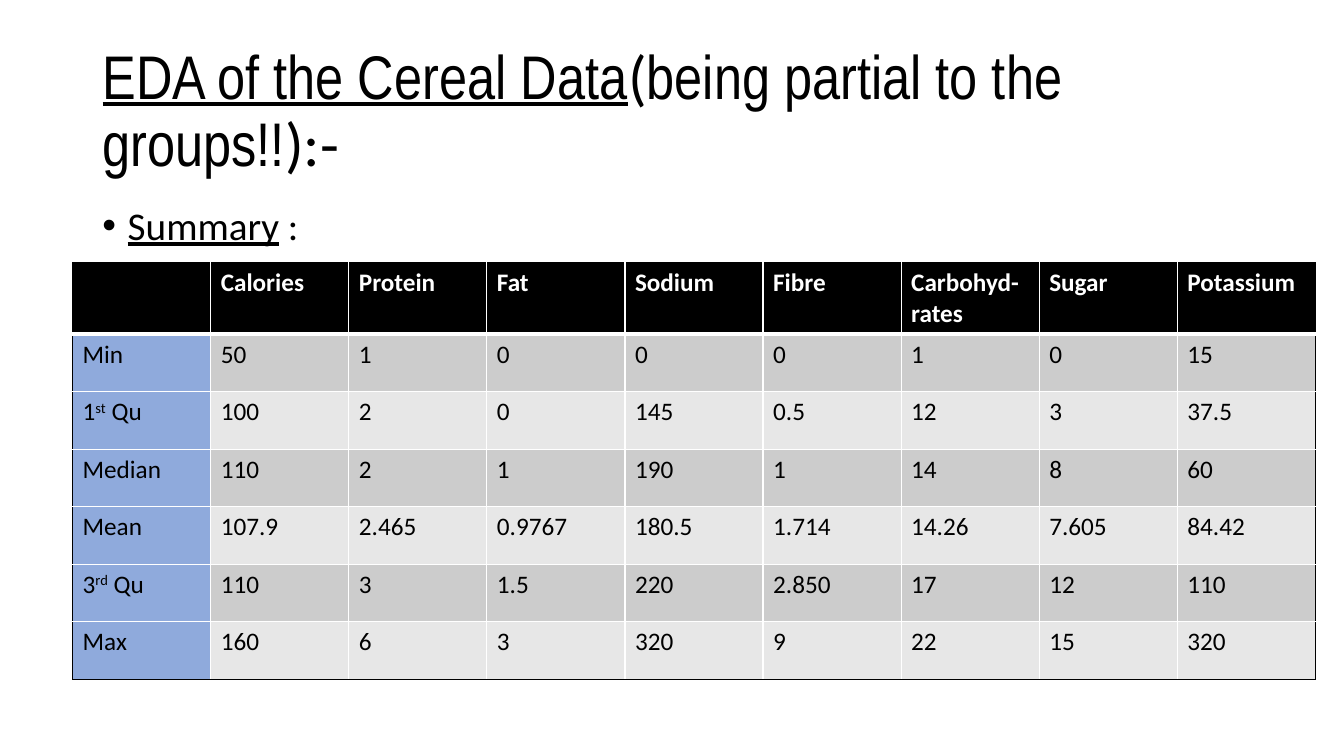
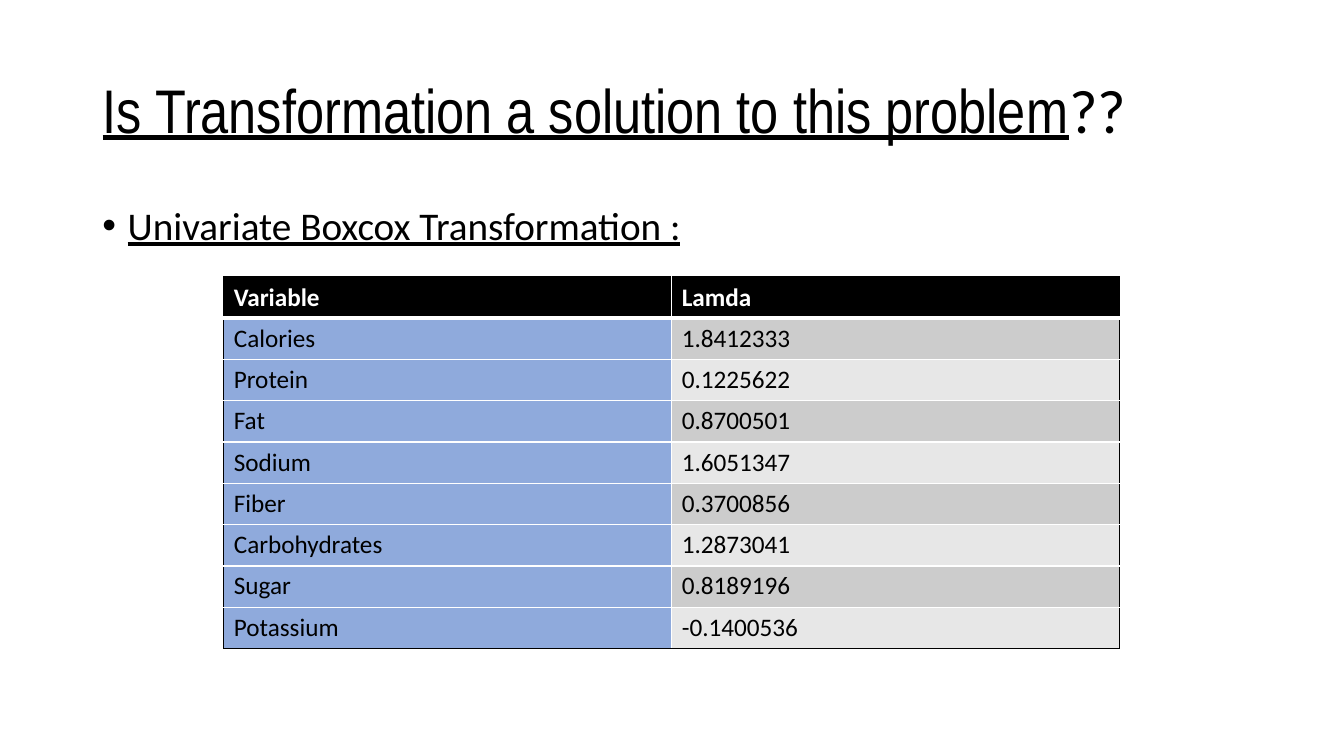
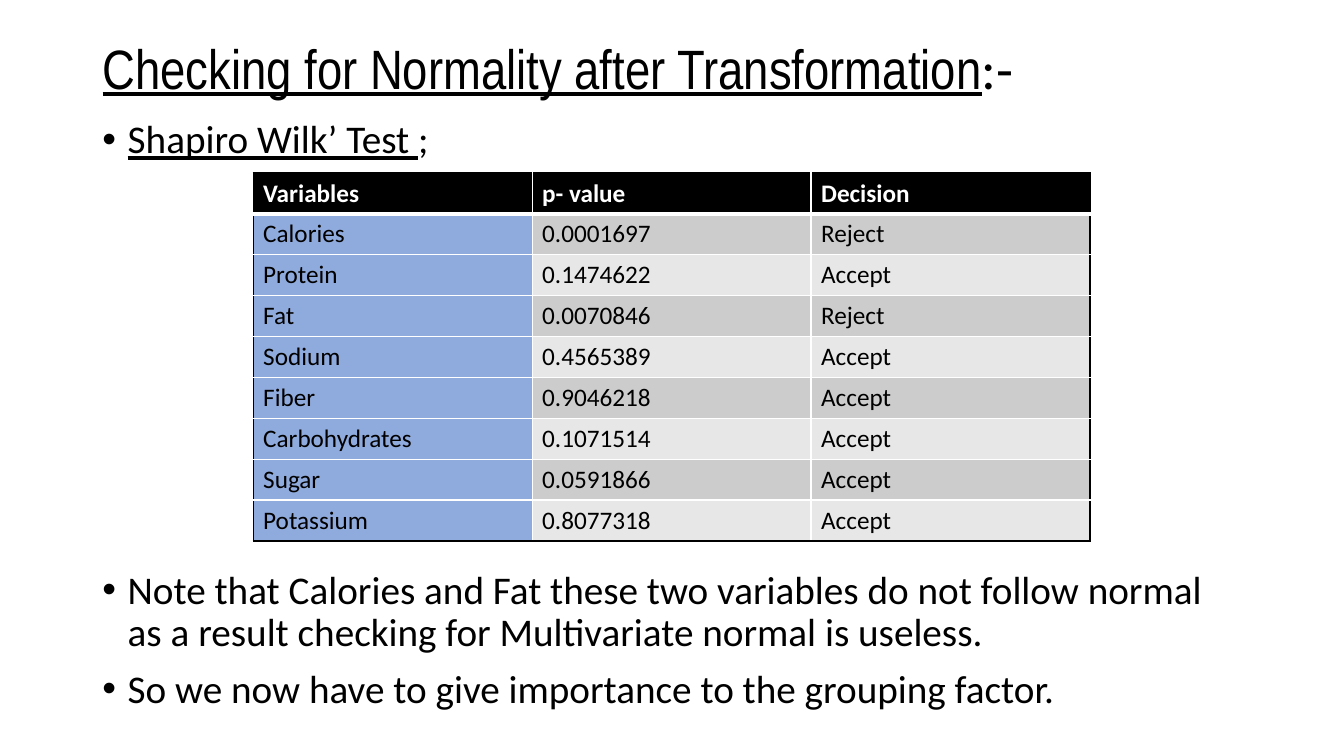
from dataclasses import dataclass
from typing import NamedTuple, Sequence

from lxml import etree
from pptx import Presentation
from pptx import util as u
from pptx.dml.color import RGBColor
from pptx.enum import text
from pptx.oxml import ns

COLOURS = {
    "ink": "000000",
    "paper": "FFFFFF",
    "label": "8FAADC",
    "band_dark": "CCCCCC",
    "band_light": "E7E7E7",
}
TITLE_FONT, BODY_FONT = "Arial Narrow", "Calibri"
BODY_SIZE, CELL_SIZE = 28, 18
LEFT, CONTENT_WIDTH = u.Cm(2.33), u.Cm(29.21)
TITLE_TOP = u.Cm(1.01)
BULLET_INDENT = u.Cm(0.64)
THIN, THICK = 1, 3


class Span(NamedTuple):
    words: str
    underline: bool = False
    font: str = BODY_FONT
    raised: bool = False


@dataclass
class Grid:
    left: float
    top: float
    column_width: float
    header_height: float
    row_height: float
    rows: Sequence[Sequence]


@dataclass
class Bullets:
    top: float
    height: float
    items: Sequence[Sequence[Span]]


@dataclass
class Page:
    title: Sequence[Span]
    bullets: Sequence[Bullets]
    grid: Grid
    title_size: float = 44
    title_height: float = 3.68


def heading(words: str) -> Span:
    return Span(words, underline=True, font=TITLE_FONT)


def ordinal(number: str, suffix: str) -> list[Span]:
    return [Span(number), Span(suffix, raised=True), Span(" Qu")]


def rgb(colour: str) -> RGBColor:
    return RGBColor.from_string(COLOURS[colour])


def write_spans(paragraph, spans: Sequence[Span], size: float,
                colour: str = "ink", bold: bool = False) -> None:
    for span in spans:
        run = paragraph.add_run()
        run.text = span.words
        font = run.font
        font.name, font.size, font.bold = span.font, u.Pt(size), bold
        font.underline = span.underline
        font.color.rgb = rgb(colour)
        if span.raised:
            run._r.get_or_add_rPr().set("baseline", "30000")


def add_title(slide, page: Page) -> None:
    title = slide.shapes.title
    title.left, title.top = LEFT, TITLE_TOP
    title.width, title.height = CONTENT_WIDTH, u.Cm(page.title_height)
    frame = title.text_frame
    frame.word_wrap = True
    frame.auto_size = text.MSO_AUTO_SIZE.NONE
    frame.vertical_anchor = text.MSO_ANCHOR.MIDDLE
    paragraph = frame.paragraphs[0]
    paragraph.alignment = text.PP_ALIGN.LEFT
    paragraph.line_spacing = 0.9
    write_spans(paragraph, page.title, page.title_size)


def set_bullet(paragraph) -> None:
    properties = paragraph._p.get_or_add_pPr()
    properties.set("marL", str(BULLET_INDENT))
    properties.set("indent", str(-BULLET_INDENT))
    etree.SubElement(properties, ns.qn("a:buFont"), typeface="Arial")
    etree.SubElement(properties, ns.qn("a:buChar"), char="•")


def add_bullets(slide, bullets: Bullets) -> None:
    box = slide.shapes.add_textbox(LEFT, u.Cm(bullets.top), CONTENT_WIDTH, u.Cm(bullets.height))
    frame = box.text_frame
    frame.word_wrap = True
    for index, spans in enumerate(bullets.items):
        paragraph = frame.add_paragraph() if index else frame.paragraphs[0]
        set_bullet(paragraph)
        paragraph.line_spacing = 0.9
        if index:
            paragraph.space_before = u.Pt(10)
        write_spans(paragraph, spans, BODY_SIZE)


def set_border(cell, side: str, colour: str, width: float) -> None:
    line = etree.SubElement(cell._tc.get_or_add_tcPr(), ns.qn(f"a:ln{side}"), w=str(u.Pt(width)))
    fill = etree.SubElement(line, ns.qn("a:solidFill"))
    etree.SubElement(fill, ns.qn("a:srgbClr"), val=COLOURS[colour])


def set_borders(cell, row: int, column: int, last_row: int, last_column: int) -> None:
    """Black around the table, white inside it, thicker under the header."""
    outer = {"L": column == 0, "R": column == last_column, "T": row == 0, "B": row == last_row}
    under_header = {(0, "B"), (1, "T")}
    for side, is_outer in outer.items():
        set_border(cell, side, "ink" if is_outer else "paper",
                   THICK if (row, side) in under_header else THIN)


def cell_fill(row: int, column: int) -> str:
    if row == 0:
        return "ink"
    if column == 0:
        return "label"
    return "band_dark" if row % 2 else "band_light"


def add_grid(slide, grid: Grid) -> None:
    row_count, column_count = len(grid.rows), len(grid.rows[0])
    height = grid.header_height + grid.row_height * (row_count - 1)
    table = slide.shapes.add_table(
        row_count, column_count, u.Cm(grid.left), u.Cm(grid.top),
        u.Cm(grid.column_width * column_count), u.Cm(height)).table
    table.horz_banding = False
    for column in table.columns:
        column.width = u.Cm(grid.column_width)
    for r, values in enumerate(grid.rows):
        table.rows[r].height = u.Cm(grid.row_height if r else grid.header_height)
        for c, value in enumerate(values):
            cell = table.cell(r, c)
            set_borders(cell, r, c, row_count - 1, column_count - 1)
            cell.fill.solid()
            cell.fill.fore_color.rgb = rgb(cell_fill(r, c))
            spans = [Span(value)] if isinstance(value, str) else value
            if value:
                write_spans(cell.text_frame.paragraphs[0], spans, CELL_SIZE,
                            colour="ink" if r else "paper", bold=r == 0)


NUTRIENTS = ["Calories", "Protein", "Fat", "Sodium", "Fiber", "Carbohydrates", "Sugar", "Potassium"]
LAMBDAS = ["1.8412333", "0.1225622", "0.8700501", "1.6051347",
           "0.3700856", "1.2873041", "0.8189196", "-0.1400536"]
P_VALUES = ["0.0001697", "0.1474622", "0.0070846", "0.4565389",
            "0.9046218", "0.1071514", "0.0591866", "0.8077318"]
DECISIONS = ["Reject", "Accept", "Reject"] + ["Accept"] * 5
SUMMARY = [
    ["", "Calories", "Protein", "Fat", "Sodium", "Fibre", "Carbohyd-rates", "Sugar", "Potassium"],
    ["Min", "50", "1", "0", "0", "0", "1", "0", "15"],
    [ordinal("1", "st"), "100", "2", "0", "145", "0.5", "12", "3", "37.5"],
    ["Median", "110", "2", "1", "190", "1", "14", "8", "60"],
    ["Mean", "107.9", "2.465", "0.9767", "180.5", "1.714", "14.26", "7.605", "84.42"],
    [ordinal("3", "rd"), "110", "3", "1.5", "220", "2.850", "17", "12", "110"],
    ["Max", "160", "6", "3", "320", "9", "22", "15", "320"],
]

PAGES = [
    Page(
        title=[heading("EDA of the Cereal Data"), Span("("),
               Span("being partial to the groups!!", font=TITLE_FONT), Span("):-")],
        bullets=[Bullets(5.07, 1.4, [[Span("Summary", underline=True), Span(" :")]])],
        grid=Grid(1.83, 6.62, 3.48, 1.8, 1.45, SUMMARY),
    ),
    Page(
        title=[heading("Is Transformation a solution to this problem"), Span("??")],
        bullets=[Bullets(5.07, 1.4, [[Span("Univariate Boxcox Transformation :", underline=True)]])],
        grid=Grid(5.64, 6.98, 11.29, 1.04, 1.04,
                  [("Variable", "Lamda"), *zip(NUTRIENTS, LAMBDAS)]),
    ),
    Page(
        title=[heading("Checking for Normality after Transformation"), Span(":-")],
        title_size=39.6,
        title_height=1.6,
        bullets=[
            Bullets(2.9, 1.4, [[Span("Shapiro Wilk’ Test ", underline=True), Span(";")]]),
            Bullets(14.25, 4.2, [
                [Span("Note that Calories and Fat these two variables do not follow normal "
                      "as a result checking for Multivariate normal is useless.")],
                [Span("So we now have to give importance to the grouping factor.")],
            ]),
        ],
        grid=Grid(6.38, 4.36, 7.03, 1.03, 1.03,
                  [("Variables", "p- value", "Decision"), *zip(NUTRIENTS, P_VALUES, DECISIONS)]),
    ),
]


def main() -> None:
    deck = Presentation()
    deck.slide_width, deck.slide_height = u.Cm(33.87), u.Cm(19.05)
    title_only = deck.slide_layouts.get_by_name("Title Only")
    for page in PAGES:
        slide = deck.slides.add_slide(title_only)
        add_title(slide, page)
        for bullets in page.bullets:
            add_bullets(slide, bullets)
        add_grid(slide, page.grid)
    deck.save("out.pptx")


if __name__ == "__main__":
    main()
